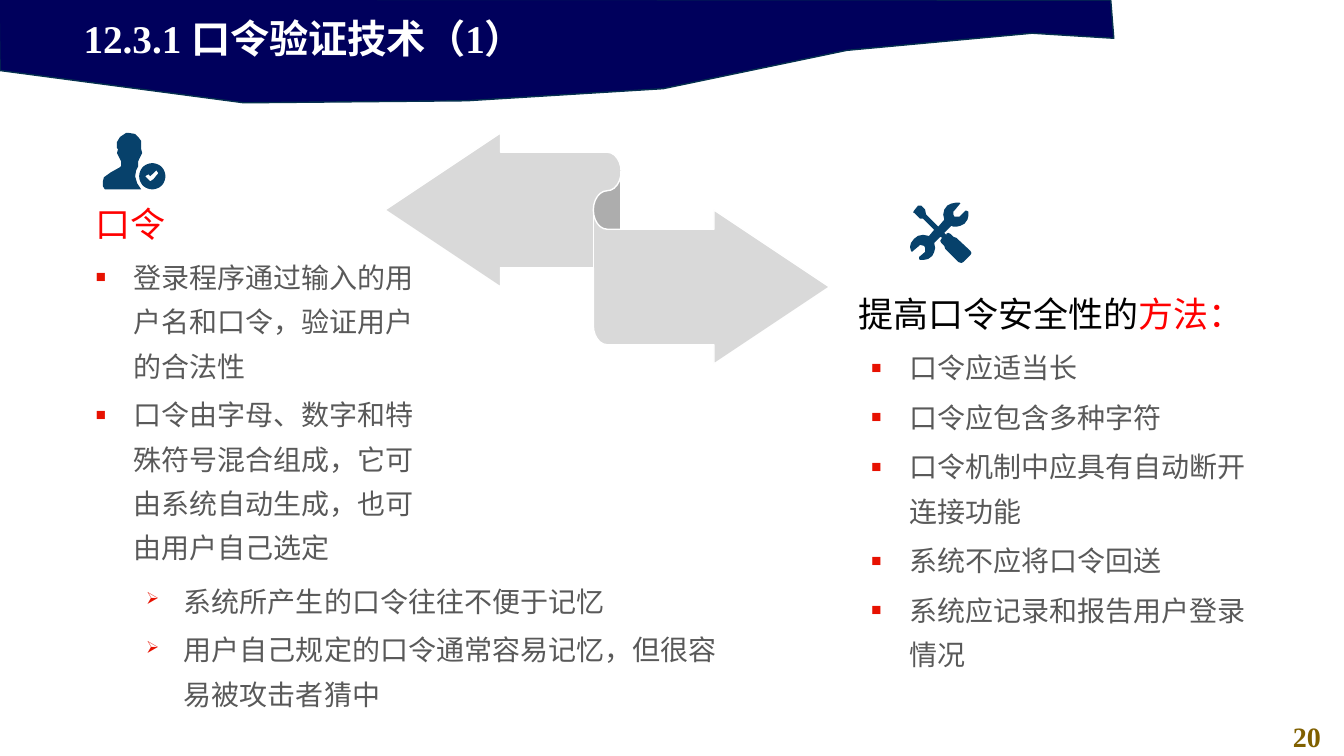
import math

from lxml import etree
from pptx import Presentation
from pptx import util as u
from pptx.dml.color import RGBColor
from pptx.enum import shapes, text
from pptx.oxml import ns

COLORS = {
    "navy": "00005C", "edge": "05304F", "icon": "07416B", "ribbon": "D9D9D9",
    "white": "FFFFFF", "black": "000000", "red": "FF0000", "bullet": "E71101",
    "grey": "595959", "gold": "806000",
}
FONT = "Times New Roman"
GRID = 0.72  # points per unit of the outline coordinates


class SlideStyle:
    def __init__(self, page):
        self.page = page

    def color(self, name):
        return RGBColor.from_string(COLORS[name])

    def paint(self, shape, fill, line=None):
        shape.shadow.inherit = False
        shape.fill.solid()
        shape.fill.fore_color.rgb = self.color(fill)
        if line:
            shape.line.color.rgb = self.color(line)
            shape.line.width = u.Pt(1)
        else:
            shape.line.fill.background()
        return shape

    def send_to_back(self, shape):
        shape.element.getparent().insert(2, shape.element)

    def outline(self, left, top, contours, fill, line=None):
        """Filled outline; contours inside others become holes."""
        fine = [[(x * 10, y * 10) for x, y in contour] for contour in contours]
        builder = self.page.shapes.build_freeform(*fine[0][0], scale=u.Pt(GRID) / 10)
        builder.add_line_segments(fine[0][1:], close=True)
        for contour in fine[1:]:
            builder.move_to(*contour[0])
            builder.add_line_segments(contour[1:], close=True)
        return self.paint(builder.convert_to_shape(u.Pt(left), u.Pt(top)), fill, line)

    def preset(self, kind, left, top, width, height, fill, line):
        shape = self.page.shapes.add_shape(
            kind, u.Pt(left), u.Pt(top), u.Pt(width), u.Pt(height))
        return self.paint(shape, fill, line)

    def place(self, box, left, top, width, height):
        box.left, box.top = u.Pt(left), u.Pt(top)
        box.width, box.height = u.Pt(width), u.Pt(height)
        frame = box.text_frame
        frame.word_wrap = True
        frame.auto_size = text.MSO_AUTO_SIZE.NONE
        frame.vertical_anchor = text.MSO_ANCHOR.TOP
        return frame

    def text_box(self, left, top, width, height):
        box = self.page.shapes.add_textbox(0, 0, 0, 0)
        return self.place(box, left, top, width, height)

    def paragraph(self, frame, spans, size, bold=False, spacing=1.0, before=0,
                  level=0, indent=0, bullet=None, align=text.PP_ALIGN.LEFT):
        first = frame.paragraphs[0]
        para = first if not first.runs else frame.add_paragraph()
        self.bullet(para, bullet, indent)
        para.level = level
        para.alignment = align
        para.line_spacing = spacing
        para.space_before = u.Pt(0 if para is first else before)
        para.space_after = u.Pt(0)
        for words, color in spans:
            span = para.add_run()
            span.text = words
            span.font.name = FONT
            span.font.size = u.Pt(size)
            span.font.bold = bold
            span.font.color.rgb = self.color(color)

    def bullet(self, para, mark, indent):
        props = para._p.get_or_add_pPr()
        props.set("marL", str(u.Pt(indent)))
        props.set("indent", str(-u.Pt(27) if mark else 0))
        if not mark:
            etree.SubElement(props, ns.qn("a:buNone"))
            return
        tint = etree.SubElement(props, ns.qn("a:buClr"))
        etree.SubElement(tint, ns.qn("a:srgbClr"), val=COLORS["bullet"])
        etree.SubElement(props, ns.qn("a:buSzPct"), val="60000")
        etree.SubElement(props, ns.qn("a:buChar"), char=mark)

    def bullets(self, frame, items, mark, level, indent, before):
        for item in items:
            self.paragraph(frame, [(item, "grey")], 20, spacing=1.32, before=before,
                           level=level, indent=indent, bullet=mark)


BANNER = [(-1, -1), (0, 70), (242, 102), (463, 100), (658, 88), (840, 50),
          (1024, 33), (1105, 38), (1102, 0)]
PERSON = [(26, 0), (32, 1), (35, 4), (38, 8), (38, 16), (39, 20), (37, 24), (35, 28),
          (35, 33), (33, 37), (32, 43), (34, 50), (38, 56), (2, 56), (0, 53), (0, 48),
          (1, 44), (8, 39), (17, 34), (18, 33), (18, 28), (16, 24), (14, 20), (15, 16),
          (14, 15), (14, 9), (17, 4), (20, 2), (23, 0)]
BADGE = [(49 + 13 * math.cos(math.radians(a)), 43 + 13 * math.sin(math.radians(a)))
         for a in range(0, 360, 10)]
CHECK = [(53, 37), (47, 43), (45, 41), (42, 43), (45, 46), (47, 48), (50, 46), (55, 40)]
TOOLS = [(60, 48), (46, 35), (43, 34), (40, 31), (38, 30), (36, 31), (36, 32), (34, 30),
         (41, 23), (43, 24), (46, 24), (50, 23), (54, 21), (57, 17), (58, 13), (58, 9),
         (56, 8), (55, 8), (49, 14), (44, 14), (43, 12), (43, 9), (44, 8), (49, 2),
         (50, 1), (49, 0), (46, 0), (41, 1), (37, 3), (34, 7), (33, 12), (34, 17),
         (28, 24), (16, 12), (15, 7), (11, 3), (8, 3), (4, 8), (3, 10), (4, 10),
         (8, 14), (10, 16), (13, 16), (24, 27), (19, 33), (18, 33), (13, 32), (8, 33),
         (4, 36), (1, 40), (0, 44), (1, 48), (2, 49), (3, 48), (9, 43), (10, 42),
         (14, 43), (15, 45), (15, 49), (9, 54), (9, 56), (10, 57), (13, 57), (18, 56),
         (22, 53), (24, 49), (25, 45), (24, 40), (30, 34), (32, 35), (31, 36), (30, 38),
         (31, 40), (34, 43), (35, 46), (48, 59), (51, 60), (53, 59), (60, 52), (61, 50)]


def main():
    deck = Presentation()
    deck.slide_width, deck.slide_height = u.Pt(960), u.Pt(540)
    page = deck.slides.add_slide(deck.slide_layouts[3])
    style = SlideStyle(page)
    title, password, methods = page.placeholders

    # Double arrow and banner, behind the text
    ribbon = style.preset(shapes.MSO_SHAPE.LEFT_RIGHT_RIBBON,
                          275, 95, 317.5, 165, "ribbon", "white")
    for index, value in enumerate((0.5, 0.5, 0.33333)):
        ribbon.adjustments[index] = value
    style.send_to_back(ribbon)
    style.send_to_back(style.outline(0, 0, [BANNER], "navy", "edge"))

    # Title
    frame = style.place(title, 52.5, 6.5, 553, 41)
    style.paragraph(frame, [("12.3.1 口令验证技术（1）", "white")], 28, bold=True)

    # Icons
    style.outline(73.5, 95, [PERSON, BADGE, CHECK], "icon")
    style.outline(650, 144.7, [TOOLS], "icon")

    # Left column: the password
    frame = style.place(password, 61.2, 144.7, 257, 242.6)
    style.paragraph(frame, [("口令", "red")], 25, spacing=0.9)
    style.bullets(frame, ["登录程序通过输入的用户名和口令，验证用户的合法性",
                          "口令由字母、数字和特殊符号混合组成，它可由系统自动生成，也可由用户自己选定"],
                  "■", level=1, indent=27, before=3)

    # Right column: safer passwords
    frame = style.place(methods, 606.2, 195.8, 297.4, 321.8)
    style.paragraph(frame, [("提高口令安全性的", "black"), ("方法：", "red")],
                    25, spacing=1.32)
    style.bullets(frame, ["口令应适当长", "口令应包含多种字符", "口令机制中应具有自动断开连接功能",
                          "系统不应将口令回送", "系统应记录和报告用户登录情况"],
                  "■", level=2, indent=36, before=3.7)

    # Remarks under the left column
    frame = style.text_box(61.2, 406, 470, 130)
    style.bullets(frame, ["系统所产生的口令往往不便于记忆",
                          "用户自己规定的口令通常容易记忆，但很容易被攻击者猜中"],
                  "➢", level=2, indent=63, before=3)

    # Page number
    frame = style.text_box(907.2, 510.5, 52.5, 29.5)
    style.paragraph(frame, [("20", "gold")], 20, bold=True, align=text.PP_ALIGN.CENTER)

    deck.save("out.pptx")


if __name__ == "__main__":
    main()
